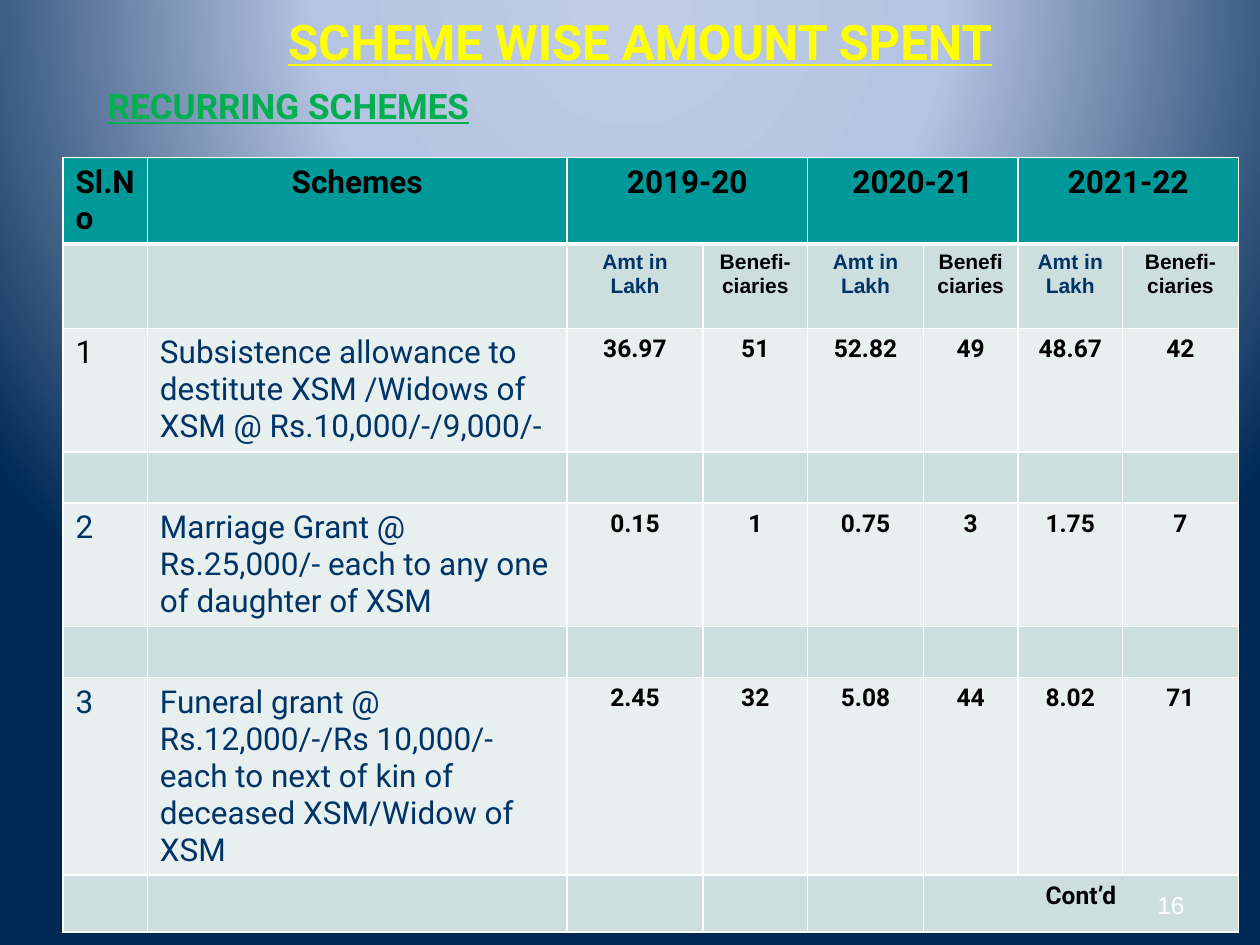
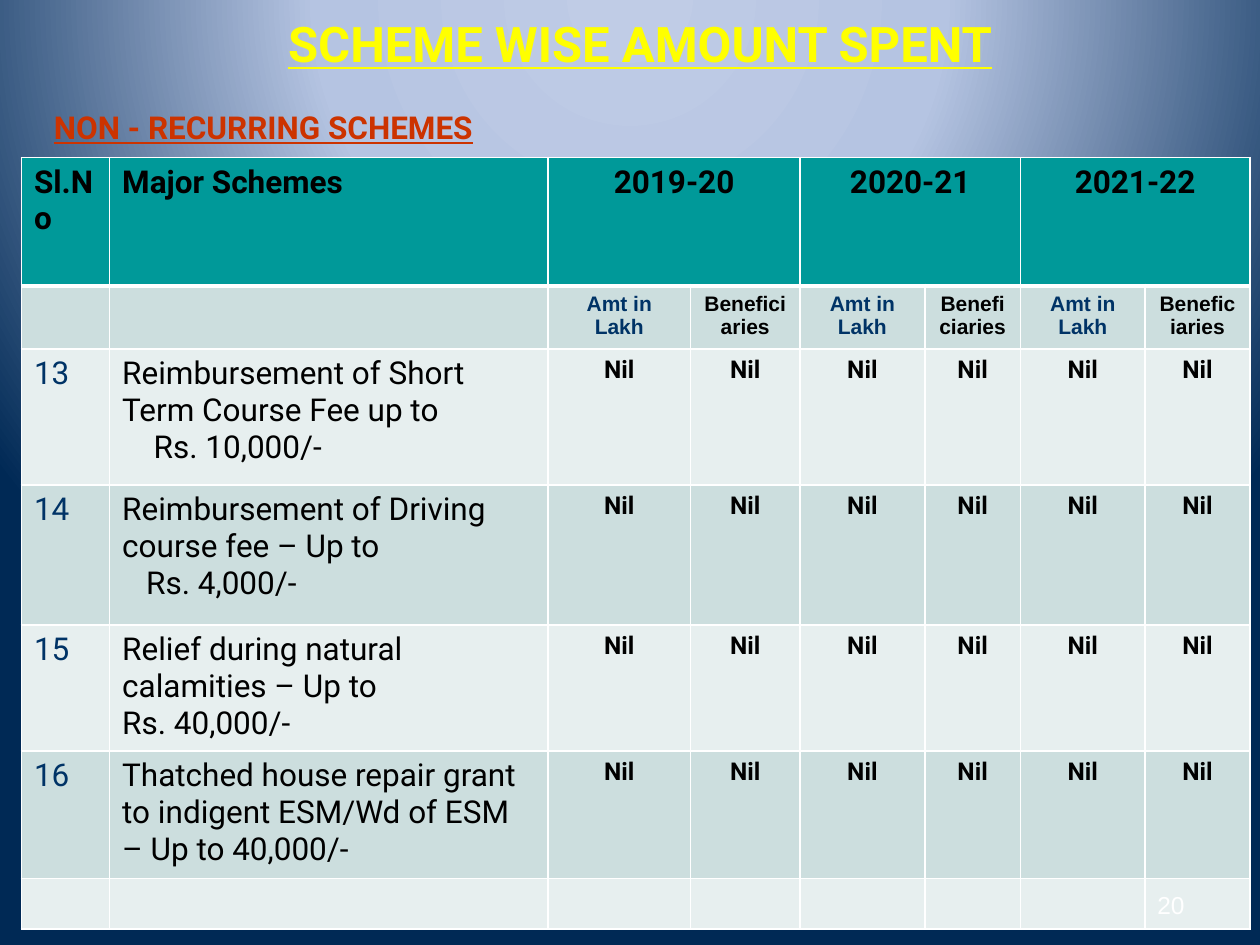
from dataclasses import dataclass, field

import pptx
import pptx.dml.color
import pptx.enum.text
import pptx.oxml
import pptx.oxml.ns
import pptx.util

ALIGN = pptx.enum.text.PP_ALIGN
ANCHOR = pptx.enum.text.MSO_ANCHOR


@dataclass(frozen=True)
class Theme:
    yellow: str = "FFFF00"
    green: str = "00B050"
    rust: str = "CC3300"
    navy: str = "003366"
    black: str = "000000"
    white: str = "FFFFFF"
    teal: str = "009999"
    bands: tuple[str, str] = ("CCDEDE", "E7EFEF")
    glow: tuple[tuple[int, str], ...] = ((0, "C0CCE6"), (40, "B5C4E2"), (100, "002955"))
    heading_font: str = "Roboto"
    plain_font: str = "Arial"
    title_size: int = 28
    subtitle_size: int = 20
    body_size: int = 18
    value_size: int = 14
    label_size: int = 12


THEME = Theme()
SLIDE_WIDTH = pptx.util.Inches(10)
SLIDE_HEIGHT = pptx.util.Inches(7.5)


@dataclass(frozen=True)
class TextStyle:
    size: int
    color: str = THEME.black
    bold: bool = False
    underline: bool = False
    font: str = THEME.heading_font
    align: int = ALIGN.LEFT


@dataclass(frozen=True)
class Area:
    """Left, top, width and height in percent of the slide."""
    left: float
    top: float
    width: float
    height: float


@dataclass(frozen=True)
class Caption:
    text: str
    area: Area
    style: TextStyle
    anchor: int = ANCHOR.TOP
    top_inset: float = 0
    wrap: bool = True


@dataclass(frozen=True)
class Scheme:
    number: str
    lines: tuple[str, ...]
    values: tuple[str, ...]
    number_color: str = THEME.navy
    last_line_indent: float = 0


@dataclass(frozen=True)
class SchemePage:
    captions: tuple[Caption, ...]
    table_left: float
    columns: tuple[float, ...]
    rows: tuple[float, ...]
    heading: str
    heading_align: int
    count_labels: tuple[str, str, str]
    scheme_color: str
    schemes: dict[int, Scheme] = field(default_factory=dict)
    closing: str = ""


HEADER = TextStyle(THEME.body_size, bold=True)
CENTRED_HEADER = TextStyle(THEME.body_size, bold=True, align=ALIGN.CENTER)
VALUE = TextStyle(THEME.value_size, bold=True, align=ALIGN.CENTER)
TITLE = TextStyle(THEME.title_size, THEME.yellow, True, True, align=ALIGN.CENTER)
PAGE_NUMBER = TextStyle(THEME.value_size, THEME.white, font=THEME.plain_font, align=ALIGN.RIGHT)
YEARS = ("2019-20", "2020-21", "2021-22")
TABLE_TOP = 16.67


def across(percent: float) -> int:
    return round(SLIDE_WIDTH * percent / 100)


def down(percent: float) -> int:
    return round(SLIDE_HEIGHT * percent / 100)


def add_span(para, text: str, style: TextStyle) -> None:
    para.alignment = style.align
    span = para.add_run()
    span.text = text
    span.font.name = style.font
    span.font.size = pptx.util.Pt(style.size)
    span.font.bold = style.bold
    span.font.underline = style.underline
    span.font.color.rgb = pptx.dml.color.RGBColor.from_string(style.color)


def draw_background(page) -> None:
    """Radial glow centred above the slide."""
    stops = "".join(
        f'<a:gs pos="{place * 1000}"><a:srgbClr val="{color}"/></a:gs>' for place, color in THEME.glow
    )
    page.background.fill.gradient()
    plain = page.background._cSld.find(".//" + pptx.oxml.ns.qn("a:gradFill"))
    glow = pptx.oxml.parse_xml(
        f'<a:gradFill {pptx.oxml.ns.nsdecls("a")} rotWithShape="1"><a:gsLst>{stops}</a:gsLst>'
        '<a:path path="circle"><a:fillToRect l="50000" t="-80000" r="50000" b="180000"/></a:path>'
        "</a:gradFill>"
    )
    plain.getparent().replace(plain, glow)


def draw_caption(page, caption: Caption) -> None:
    area = caption.area
    box = page.shapes.add_textbox(
        across(area.left), down(area.top), across(area.width), down(area.height)
    )
    frame = box.text_frame
    frame.word_wrap = caption.wrap
    frame.vertical_anchor = caption.anchor
    frame.margin_top = pptx.util.Inches(caption.top_inset)
    add_span(frame.paragraphs[0], caption.text, caption.style)


def border_cell(cell, bottom_width: int) -> None:
    properties = cell._tc.get_or_add_tcPr()
    widths = {"lnL": 1, "lnR": 1, "lnT": 1, "lnB": bottom_width}
    for position, (side, width) in enumerate(widths.items()):
        line = pptx.oxml.parse_xml(
            f'<a:{side} {pptx.oxml.ns.nsdecls("a")} w="{pptx.util.Pt(width)}">'
            f'<a:solidFill><a:srgbClr val="{THEME.white}"/></a:solidFill></a:{side}>'
        )
        properties.insert(position, line)


def write_cell(cell, style: TextStyle, *lines: str, last_indent: float = 0) -> None:
    frame = cell.text_frame
    for index, line in enumerate(lines):
        para = frame.add_paragraph() if index else frame.paragraphs[0]
        add_span(para, line, style)
    if last_indent:
        indent = str(pptx.util.Inches(last_indent))
        frame.paragraphs[-1]._p.get_or_add_pPr().set("marL", indent)


def draw_table(page, content: SchemePage) -> None:
    table = page.shapes.add_table(
        len(content.rows), len(content.columns), across(content.table_left), down(TABLE_TOP),
        across(sum(content.columns)), down(sum(content.rows)),
    ).table
    for column, width in zip(table.columns, content.columns):
        column.width = across(width)
    for index, height in enumerate(content.rows):
        table.rows[index].height = down(height)
        color = THEME.bands[(index - 1) % 2] if index else THEME.teal
        for cell in table.rows[index].cells:
            cell.fill.solid()
            cell.fill.fore_color.rgb = pptx.dml.color.RGBColor.from_string(color)
            border_cell(cell, 1 if index else 3)

    # Header rows
    write_cell(table.cell(0, 0), HEADER, "Sl.No")
    heading = TextStyle(THEME.body_size, bold=True, align=content.heading_align)
    write_cell(table.cell(0, 1), heading, content.heading)
    for index, (year, count_label) in enumerate(zip(YEARS, content.count_labels)):
        column = 2 + 2 * index
        table.cell(0, column).merge(table.cell(0, column + 1))
        write_cell(table.cell(0, column), CENTRED_HEADER, year)
        labels = (("Amt in Lakh", THEME.navy), (count_label, THEME.black))
        for offset, (label, color) in enumerate(labels):
            style = TextStyle(
                THEME.label_size, color, True, font=THEME.plain_font, align=ALIGN.CENTER
            )
            write_cell(table.cell(1, column + offset), style, label)

    # Scheme rows
    scheme_style = TextStyle(THEME.body_size, content.scheme_color)
    for row, scheme in content.schemes.items():
        number_style = TextStyle(THEME.body_size, scheme.number_color)
        write_cell(table.cell(row, 0), number_style, scheme.number)
        write_cell(
            table.cell(row, 1), scheme_style, *scheme.lines, last_indent=scheme.last_line_indent
        )
        for column, value in enumerate(scheme.values, start=2):
            write_cell(table.cell(row, column), VALUE, value)

    # Closing note
    if content.closing:
        last = len(content.rows) - 1
        table.cell(last, 5).merge(table.cell(last, 7))
        write_cell(table.cell(last, 5), VALUE, content.closing)


def title(top_inset: float) -> Caption:
    return Caption("SCHEME WISE AMOUNT SPENT", Area(3.3, 1.07, 95, 8.93), TITLE,
                   top_inset=top_inset)


def page_number(number: str) -> Caption:
    return Caption(number, Area(71.7, 91.07, 23.3, 6.93), PAGE_NUMBER, ANCHOR.BOTTOM)


NIL = ("Nil",) * 6

RECURRING = SchemePage(
    captions=(
        title(0.01),
        Caption("RECURRING SCHEMES", Area(5, 8.93, 35.8, 7.73),
                TextStyle(THEME.subtitle_size, THEME.green, True, True, align=ALIGN.CENTER)),
        page_number("16"),
    ),
    table_left=5,
    columns=(6.7, 33.3, 10.8, 8.3, 9.2, 7.5, 8.3, 9.2),
    rows=(8.93, 8.93, 13.07, 5.33, 13.07, 5.33, 20.8, 6),
    heading="Schemes",
    heading_align=ALIGN.CENTER,
    count_labels=("Benefi-ciaries", "Beneficiaries", "Benefi-ciaries"),
    scheme_color=THEME.navy,
    schemes={
        2: Scheme(
            "1",
            ("Subsistence allowance to destitute XSM /Widows of XSM @ Rs.10,000/-/9,000/-",),
            ("36.97", "51", "52.82", "49", "48.67", "42"),
            number_color=THEME.black,
        ),
        4: Scheme(
            "2",
            ("Marriage Grant @ Rs.25,000/- each to any one of daughter of XSM",),
            ("0.15", "1", "0.75", "3", "1.75", "7"),
        ),
        6: Scheme(
            "3",
            ("Funeral grant @ Rs.12,000/-/Rs 10,000/- each to next of kin of "
             "deceased XSM/Widow of XSM",),
            ("2.45", "32", "5.08", "44", "8.02", "71"),
        ),
    },
    closing="Cont’d",
)

NON_RECURRING = SchemePage(
    captions=(
        title(0.03),
        Caption("NON - RECURRING SCHEMES", Area(3.3, 10.67, 39, 5.33),
                TextStyle(THEME.body_size, THEME.rust, True, True), top_inset=0.06, wrap=False),
        page_number("20"),
    ),
    table_left=1.7,
    columns=(7, 34.8, 11.3, 8.7, 9.9, 7.6, 9.9, 8.3),
    rows=(13.6, 6.67, 14.4, 14.8, 13.07, 13.47, 5.2),
    heading="Major Schemes",
    heading_align=ALIGN.LEFT,
    count_labels=("Beneficiaries",) * 3,
    scheme_color=THEME.black,
    schemes={
        2: Scheme("13", ("Reimbursement of Short Term Course Fee up to", "Rs. 10,000/-"), NIL,
                  last_line_indent=0.25),
        3: Scheme("14", ("Reimbursement of Driving course fee – Up to", "Rs. 4,000/-"), NIL,
                  last_line_indent=0.19),
        4: Scheme("15", ("Relief during natural calamities – Up to", "Rs. 40,000/-"), NIL),
        5: Scheme("16", ("Thatched house repair grant to indigent ESM/Wd of ESM "
                         "– Up to 40,000/-",), NIL),
    },
)


def main() -> None:
    deck = pptx.Presentation()
    deck.slide_width, deck.slide_height = SLIDE_WIDTH, SLIDE_HEIGHT
    blank = deck.slide_layouts[6]
    for content in (RECURRING, NON_RECURRING):
        page = deck.slides.add_slide(blank)
        draw_background(page)
        draw_table(page, content)
        for caption in content.captions:
            draw_caption(page, caption)
    deck.save("out.pptx")


if __name__ == "__main__":
    main()
